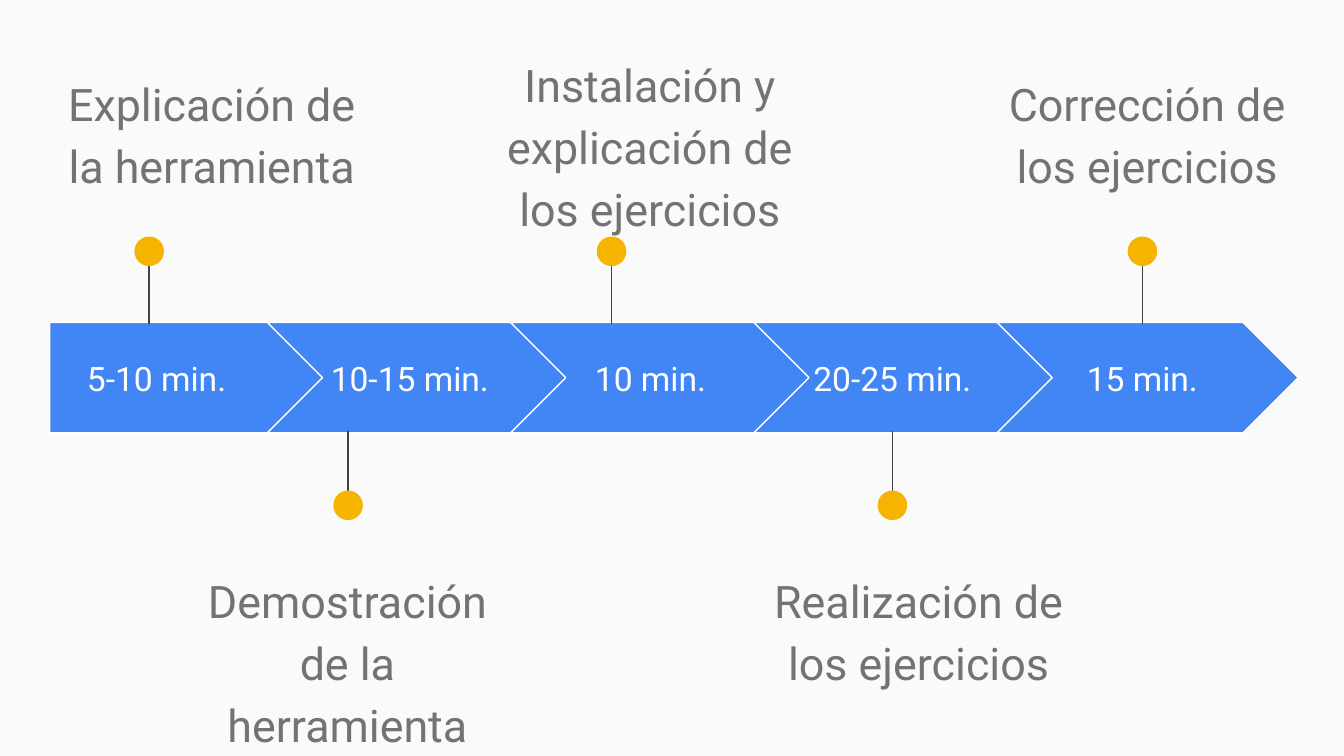
from dataclasses import dataclass

from lxml import etree
from pptx import Presentation
from pptx import util as u
from pptx.dml.color import RGBColor
from pptx.enum import shapes, text
from pptx.oxml import ns

BACKGROUND = RGBColor(0xFA, 0xFA, 0xFA)
BLUE = RGBColor(0x42, 0x85, 0xF4)
YELLOW = RGBColor(0xF4, 0xB4, 0x00)
WHITE = RGBColor(0xFF, 0xFF, 0xFF)
STEM_GREY = RGBColor(0x42, 0x42, 0x42)
LABEL_GREY = RGBColor(0x73, 0x73, 0x73)

SLIDE_W = 10
SLIDE_H = SLIDE_W * 9 / 16
BAND_LEFT, BAND_TOP, BAND_H = 0.37, 2.4, 0.82
START_W, CHEVRON_W = 2.05, 2.24
CHEVRON_LEFT, PITCH = 1.99, 1.81
DURATION_TOP, DURATION_H = 2.56, 0.51
LABEL_W, LABEL_H = 2.45, 0.99
DOT = 0.22


@dataclass(frozen=True)
class Stage:
    duration: str
    duration_left: float
    label: str
    label_left: float
    label_top: float
    pin_x: float
    above: bool
    duration_w: float = 1.44


STAGES = [
    Stage("5-10 min.", 0.37, "Explicación de la herramienta", 0.35, 0.41, 1.11, True, 1.59),
    Stage("10-15 min.", 2.33, "Demostración de la herramienta", 1.36, 4.11, 2.59, False),
    Stage("10 min.", 4.12, "Instalación y explicación de los ejercicios", 3.61, 0.27, 4.55, True),
    Stage("20-25 min.", 5.92, "Realización de los ejercicios", 5.61, 4.11, 6.64, False),
    Stage("15 min.", 7.78, "Corrección de los ejercicios", 7.31, 0.41, 8.5, True),
]


def inches(*lengths: float) -> list:
    return [u.Inches(length) for length in lengths]


def add_text(slide, words: str, left: float, top: float, width: float, height: float, *,
             size: int, color: RGBColor, anchor=text.MSO_ANCHOR.TOP,
             spacing: float = 1.0, after: int = 0) -> None:
    frame = slide.shapes.add_textbox(*inches(left, top, width, height)).text_frame
    frame.word_wrap = True
    frame.vertical_anchor = anchor
    frame.margin_left = frame.margin_right = u.Inches(0.1)
    frame.margin_top = frame.margin_bottom = u.Inches(0.1)
    paragraph = frame.paragraphs[0]
    paragraph.alignment = text.PP_ALIGN.CENTER
    paragraph.line_spacing = spacing
    paragraph.space_after = u.Pt(after)
    run = paragraph.add_run()
    run.text = words
    run.font.name = "Roboto"
    run.font.size = u.Pt(size)
    run.font.color.rgb = color


def add_filled(slide, preset, left: float, top: float, width: float, height: float,
               fill: RGBColor):
    shape = slide.shapes.add_shape(preset, *inches(left, top, width, height))
    shape.shadow.inherit = False
    shape.fill.solid()
    shape.fill.fore_color.rgb = fill
    shape.line.fill.background()
    return shape


def add_arrow(slide, index: int) -> None:
    if index == 0:
        preset, left, width = shapes.MSO_SHAPE.PENTAGON, BAND_LEFT, START_W
    else:
        preset, width = shapes.MSO_SHAPE.CHEVRON, CHEVRON_W
        left = CHEVRON_LEFT + (index - 1) * PITCH
    arrow = add_filled(slide, preset, left, BAND_TOP, width, BAND_H, BLUE)
    arrow.adjustments[0] = 0.5
    arrow.line.color.rgb = WHITE
    arrow.line.width = u.Pt(0.75)


def add_pin(slide, x: float, above: bool) -> None:
    far, near, dot_top = (1.8, 2.41, 1.76) if above else (3.82, 3.21, 3.65)
    stem = slide.shapes.add_connector(shapes.MSO_CONNECTOR.STRAIGHT, *inches(x, far, x, near))
    stem.line.color.rgb = STEM_GREY
    stem.line.width = u.Pt(0.75)
    etree.SubElement(stem._element.spPr, ns.qn("a:effectLst"))
    add_filled(slide, shapes.MSO_SHAPE.OVAL, x - DOT / 2, dot_top, DOT, DOT, YELLOW)


def add_stage(slide, index: int, stage: Stage) -> None:
    add_arrow(slide, index)
    add_text(slide, stage.duration, stage.duration_left, DURATION_TOP, stage.duration_w,
             DURATION_H, size=18, color=WHITE, anchor=text.MSO_ANCHOR.MIDDLE)
    add_pin(slide, stage.pin_x, stage.above)
    add_text(slide, stage.label, stage.label_left, stage.label_top, LABEL_W, LABEL_H,
             size=24, color=LABEL_GREY, spacing=1.15, after=16)


def main() -> None:
    deck = Presentation()
    deck.slide_width, deck.slide_height = inches(SLIDE_W, SLIDE_H)
    slide = deck.slides.add_slide(deck.slide_layouts.get_by_name("Blank"))
    slide.background.fill.solid()
    slide.background.fill.fore_color.rgb = BACKGROUND
    for index, stage in enumerate(STAGES):
        add_stage(slide, index, stage)
    deck.save("out.pptx")


main()
